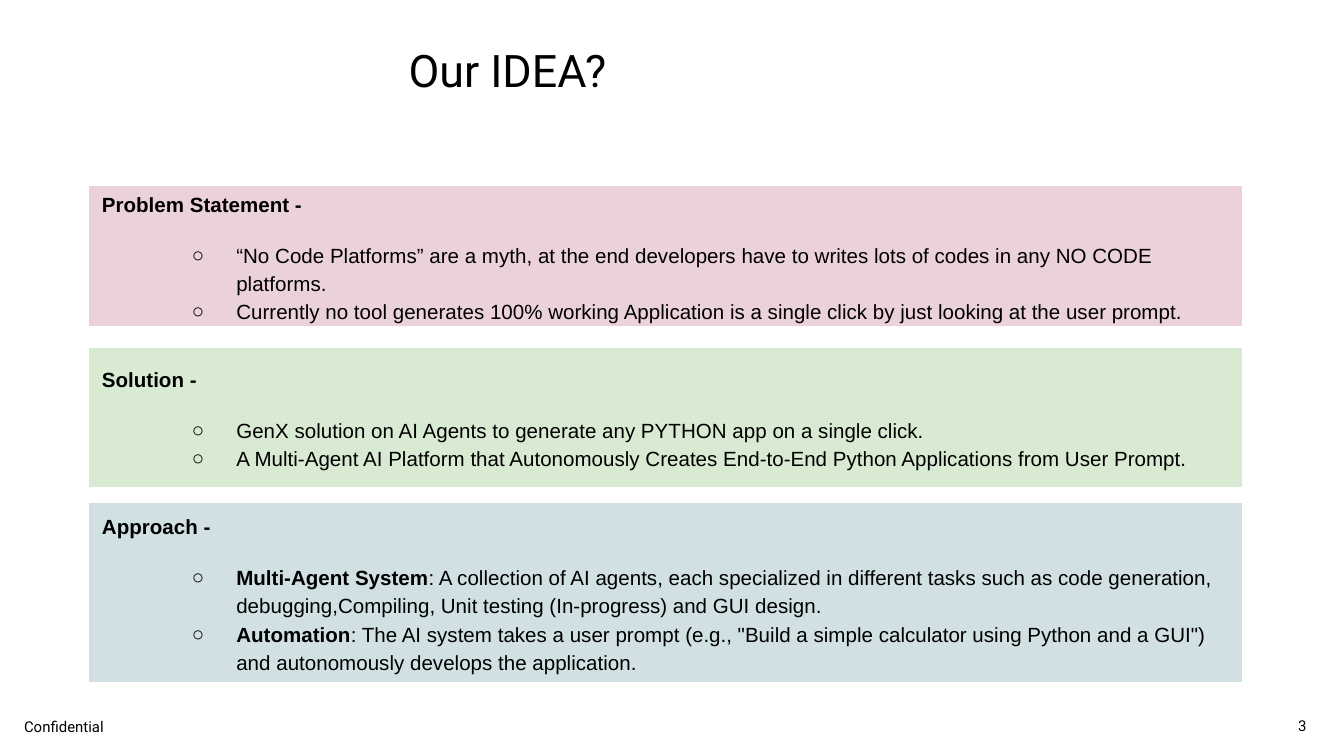
"""Build the idea slide: a title, three coloured panels and a footer."""
from lxml import etree
from pptx import Presentation
from pptx import util as u
from pptx.dml import color
from pptx.enum import shapes, text
from pptx.oxml import ns

COLOURS = {"ink": "000000", "edge": "FFFFFF", "pink": "EAD1DC",
           "green": "D9EAD3", "blue": "D0E0E3"}

TITLE = ("Our IDEA?", (211.7, 19.4, 213.1, 43.9))

# Each bullet is a bold lead followed by plain wording.
PANELS = [
    ("Problem Statement -", "pink", 99.4, 75.6, [
        ("", "“No Code Platforms” are a myth, at the end developers have to "
             "writes lots of codes in any NO CODE platforms."),
        ("", "Currently no tool generates 100% working Application is a single "
             "click by just looking at the user prompt."),
    ]),
    ("Solution -", "green", 185.8, 75.6, [
        ("", "GenX solution on AI Agents to generate any PYTHON app on a single click."),
        ("", "A Multi-Agent AI Platform that Autonomously Creates End-to-End "
             "Python Applications from User Prompt."),
    ]),
    ("Approach -", "blue", 269.3, 96.5, [
        ("Multi-Agent System",
         ": A collection of AI agents, each specialized in different tasks such as "
         "code generation, debugging,Compiling, Unit testing (In-progress) and GUI design."),
        ("Automation",
         ": The AI system takes a user prompt (e.g., \"Build a simple calculator using "
         "Python and a GUI\") and autonomously develops the application."),
    ]),
]
PANEL_LEFT, PANEL_WIDTH = 47.5, 618.5

FOOTERS = [
    ("Confidential", (5.8, 380.9, 167.8, 19.4), text.MSO_ANCHOR.TOP),
    ("3", (688.3, 378, 35.3, 21.6), text.MSO_ANCHOR.MIDDLE),
]


def rgb(name):
    return color.RGBColor.from_string(COLOURS[name])


def assign(target, **values):
    for name, value in values.items():
        setattr(target, name, value)


def points(values):
    return [u.Pt(value) for value in values]


def add_span(para, wording, font, size, bold=False):
    span = para.add_run()
    span.text = wording
    assign(span.font, name=font, size=u.Pt(size), bold=bold)
    span.font.color.rgb = rgb("ink")


def set_frame(frame, anchor, inset):
    assign(frame, word_wrap=True, auto_size=text.MSO_AUTO_SIZE.NONE,
           vertical_anchor=anchor, margin_left=u.Pt(7.2), margin_right=u.Pt(7.2),
           margin_top=u.Pt(inset), margin_bottom=u.Pt(inset))


def write_line(box, wording, size, anchor):
    set_frame(box.text_frame, anchor, 3.6)
    para = box.text_frame.paragraphs[0]
    para.alignment = text.PP_ALIGN.LEFT
    add_span(para, wording, "Roboto", size)


def add_bullet(para):
    para.level = 1
    properties = para._p.get_or_add_pPr()
    properties.set("marL", str(u.Pt(72)))
    properties.set("indent", str(u.Pt(-23.8)))
    ink = etree.SubElement(properties, ns.qn("a:buClr"))
    etree.SubElement(ink, ns.qn("a:srgbClr"), val=COLOURS["ink"])
    etree.SubElement(properties, ns.qn("a:buFont"), typeface="Arial")
    etree.SubElement(properties, ns.qn("a:buChar"), char="○")


def add_panel(page, heading, fill, top, height, bullets):
    box = page.shapes.add_shape(shapes.MSO_SHAPE.RECTANGLE,
                                *points((PANEL_LEFT, top, PANEL_WIDTH, height)))
    box.shadow.inherit = False
    box.fill.solid()
    box.fill.fore_color.rgb = rgb(fill)
    box.line.color.rgb = rgb("edge")
    box.line.width = u.Pt(0.75)
    frame = box.text_frame
    set_frame(frame, text.MSO_ANCHOR.MIDDLE, 7.2)
    layout = {"alignment": text.PP_ALIGN.LEFT, "line_spacing": 1.15}
    para = frame.paragraphs[0]
    assign(para, space_before=u.Pt(0), **layout)
    add_span(para, heading, "Arial", 11, True)
    for index, (lead, rest) in enumerate(bullets):
        para = frame.add_paragraph()
        add_bullet(para)
        assign(para, space_before=u.Pt(0 if index else 12), **layout)
        if lead:
            add_span(para, lead, "Arial", 11, True)
        add_span(para, rest, "Arial", 11)


def main():
    deck = Presentation()
    assign(deck, slide_width=u.Pt(720), slide_height=u.Pt(405))
    page = deck.slides.add_slide(deck.slide_layouts.get_by_name("Title Only"))
    wording, place = TITLE
    title = page.shapes.title
    assign(title, **dict(zip(("left", "top", "width", "height"), points(place))))
    write_line(title, wording, 24, text.MSO_ANCHOR.TOP)
    for panel in PANELS:
        add_panel(page, *panel)
    for wording, place, anchor in FOOTERS:
        write_line(page.shapes.add_textbox(*points(place)), wording, 8, anchor)
    deck.save("out.pptx")


if __name__ == "__main__":
    main()
